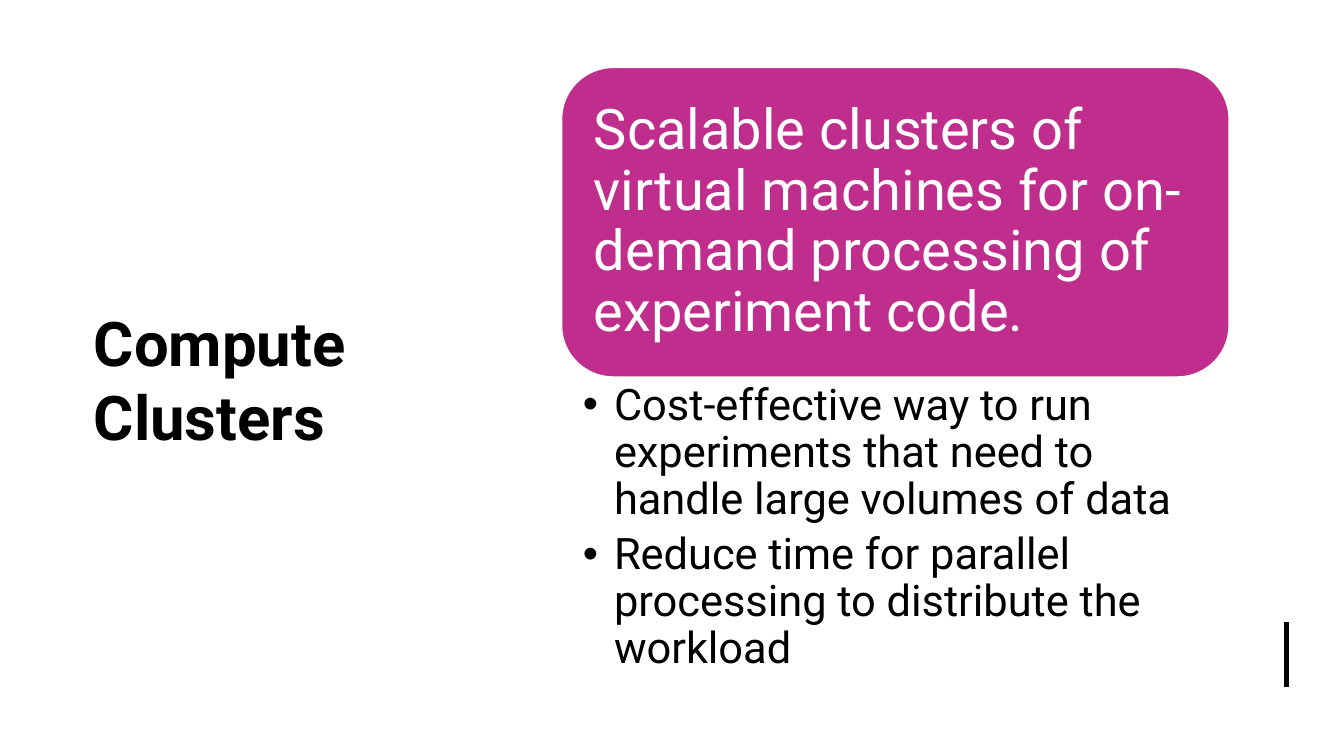
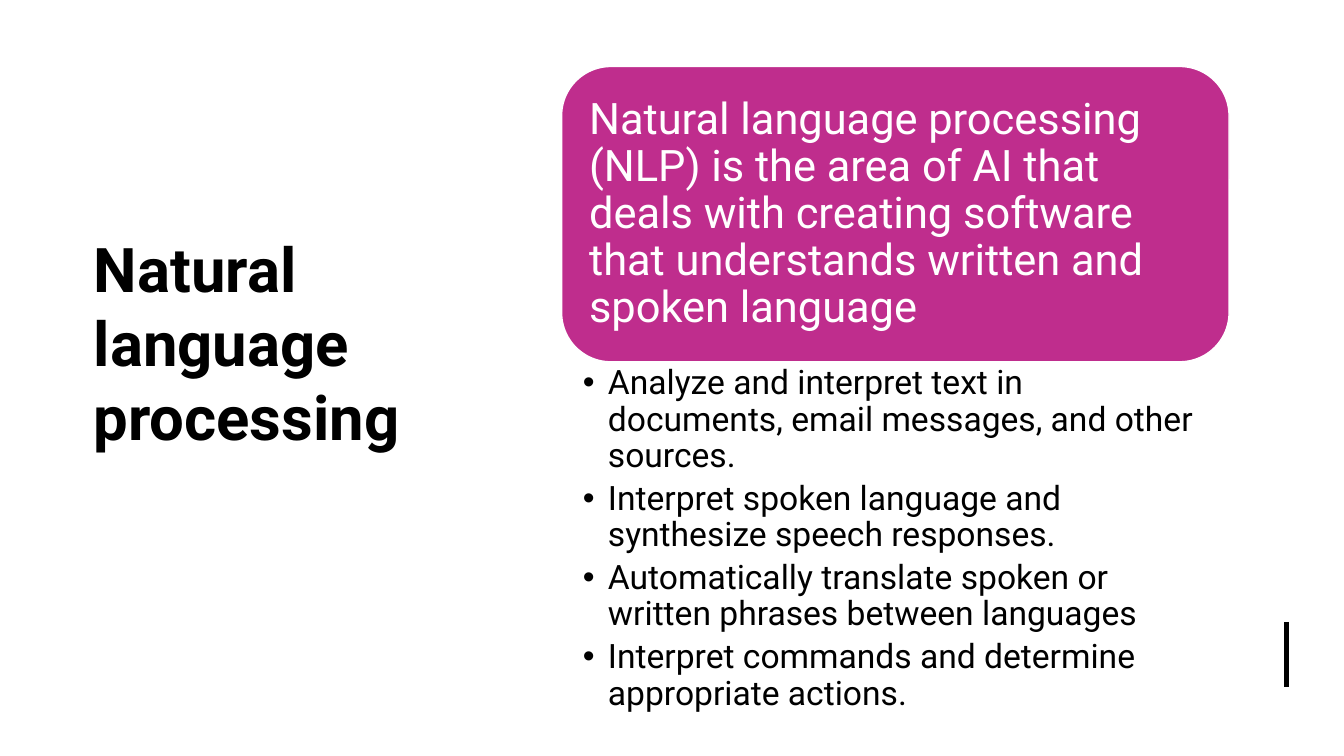
from pptx import Presentation
from pptx.dml.color import RGBColor
from pptx.enum.shapes import MSO_CONNECTOR as Line, MSO_SHAPE as Shape
from pptx.enum.text import MSO_ANCHOR as Anchor, MSO_AUTO_SIZE as Fit, PP_ALIGN as Align
from pptx.oxml.ns import qn
from pptx.util import Inches, Pt
from lxml.etree import SubElement

FONT = "Roboto"
BLACK, WHITE, PINK = "000000", "FFFFFF", "BF2D8D"
LEFT, WIDTH, END = 5.57, 6.62, 6.82


def color(code):
    """Turn a hex string into a colour."""
    return RGBColor.from_string(code)


def style(para, size, code, bold=False):
    """Set the font of a paragraph."""
    para.alignment = Align.LEFT
    font = para.font
    font.name, font.size, font.bold = FONT, Pt(size), bold
    font.color.rgb = color(code)


def set_frame(frame, anchor, left, top, right, bottom):
    """Set wrapping, anchor and insets in inches."""
    frame.word_wrap, frame.auto_size = True, Fit.NONE
    frame.vertical_anchor = anchor
    frame.margin_left, frame.margin_top = Inches(left), Inches(top)
    frame.margin_right, frame.margin_bottom = Inches(right), Inches(bottom)


def add_bullet(para, indent):
    """Give a paragraph a bullet with a hanging indent."""
    props = para._p.get_or_add_pPr()
    props.set("marL", str(Inches(indent)))
    props.set("indent", str(-Inches(indent)))
    SubElement(props, qn("a:buFont")).set("typeface", "Arial")
    SubElement(props, qn("a:buChar")).set("char", "•")


def add_title(slide, text, lift):
    """Place the title, raised by a larger bottom inset."""
    title = slide.shapes.title
    title.left, title.top = Inches(0.83), Inches(0.94)
    title.width, title.height = Inches(3.77), Inches(5.64)
    frame = title.text_frame
    set_frame(frame, Anchor.MIDDLE, 0.1, 0.05, 0.1, 0.05 + lift)
    frame.text = text
    style(frame.paragraphs[0], 44, BLACK, True)


def add_mark(slide):
    """Draw the short upright line at the lower right."""
    mark = slide.shapes.add_connector(
        Line.STRAIGHT, Inches(12.76), Inches(6.17), Inches(12.76), Inches(END))
    mark.line.color.rgb = color(BLACK)
    mark.line.width = Pt(3)
    SubElement(mark._element.spPr, qn("a:effectLst"))


def add_card(slide, text, top, bottom, size, inset):
    """Draw the rounded card with its statement."""
    card = slide.shapes.add_shape(
        Shape.ROUNDED_RECTANGLE, Inches(LEFT), Inches(top),
        Inches(WIDTH), Inches(bottom - top))
    card.shadow.inherit = False
    card.fill.solid()
    card.fill.fore_color.rgb = color(PINK)
    card.line.color.rgb = color(WHITE)
    card.line.width = Pt(1)
    frame = card.text_frame
    set_frame(frame, Anchor.MIDDLE, inset, inset, inset, inset)
    frame.text = text
    para = frame.paragraphs[0]
    para.line_spacing = 0.9
    style(para, size, WHITE)


def add_list(slide, items, top, size, indent, pad, right):
    """Write the bullets below the card."""
    box = slide.shapes.add_textbox(
        Inches(LEFT), Inches(top), Inches(WIDTH), Inches(END - top))
    frame = box.text_frame
    set_frame(frame, Anchor.TOP, 0.21, pad, right, pad)
    frame.text = "\n".join(items)
    for para in frame.paragraphs:
        add_bullet(para, indent)
        para.line_spacing = 0.9
        para.space_after = Pt(round(size * 0.2, 1))
        style(para, size, BLACK)


def add_page(deck, title, lift=0):
    """Add a slide with the shared title and mark."""
    slide = deck.slides.add_slide(deck.slide_layouts[5])
    add_title(slide, title, lift)
    add_mark(slide)
    return slide


def main():
    """Build and save both slides."""
    deck = Presentation()
    deck.slide_width, deck.slide_height = Inches(13.33), Inches(7.5)

    slide = add_page(deck, "Compute Clusters")
    add_card(slide, "Scalable clusters of virtual machines for on-demand "
             "processing of experiment code.", 0.67, 3.74, 40, 0.17)
    add_list(slide, [
        "Cost-effective way to run experiments that need to handle large volumes of data",
        "Reduce time for parallel processing to distribute the workload",
    ], 3.74, 31, 0.31, 0.06, 0.31)

    slide = add_page(deck, "Natural language processing", 0.73)
    add_card(slide, "Natural language processing (NLP) is the area of AI that deals with "
             "creating software that understands written and spoken language",
             0.66, 3.59, 31, 0.13)
    add_list(slide, [
        "Analyze and interpret text in documents, email messages, and other sources.",
        "Interpret spoken language and synthesize speech responses.",
        "Automatically translate spoken or written phrases between languages",
        "Interpret commands and determine appropriate actions.",
    ], 3.59, 24, 0.25, 0.04, 0.24)

    deck.save("out.pptx")


if __name__ == "__main__":
    main()
